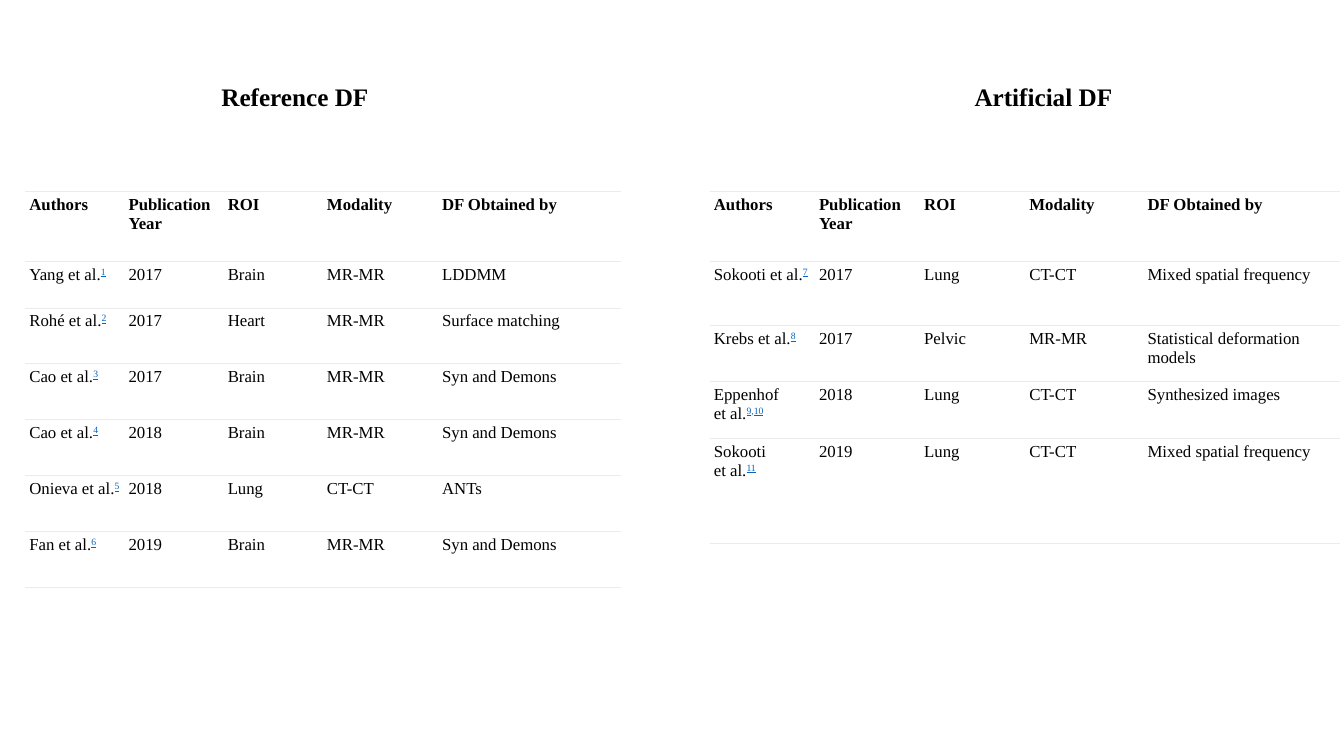
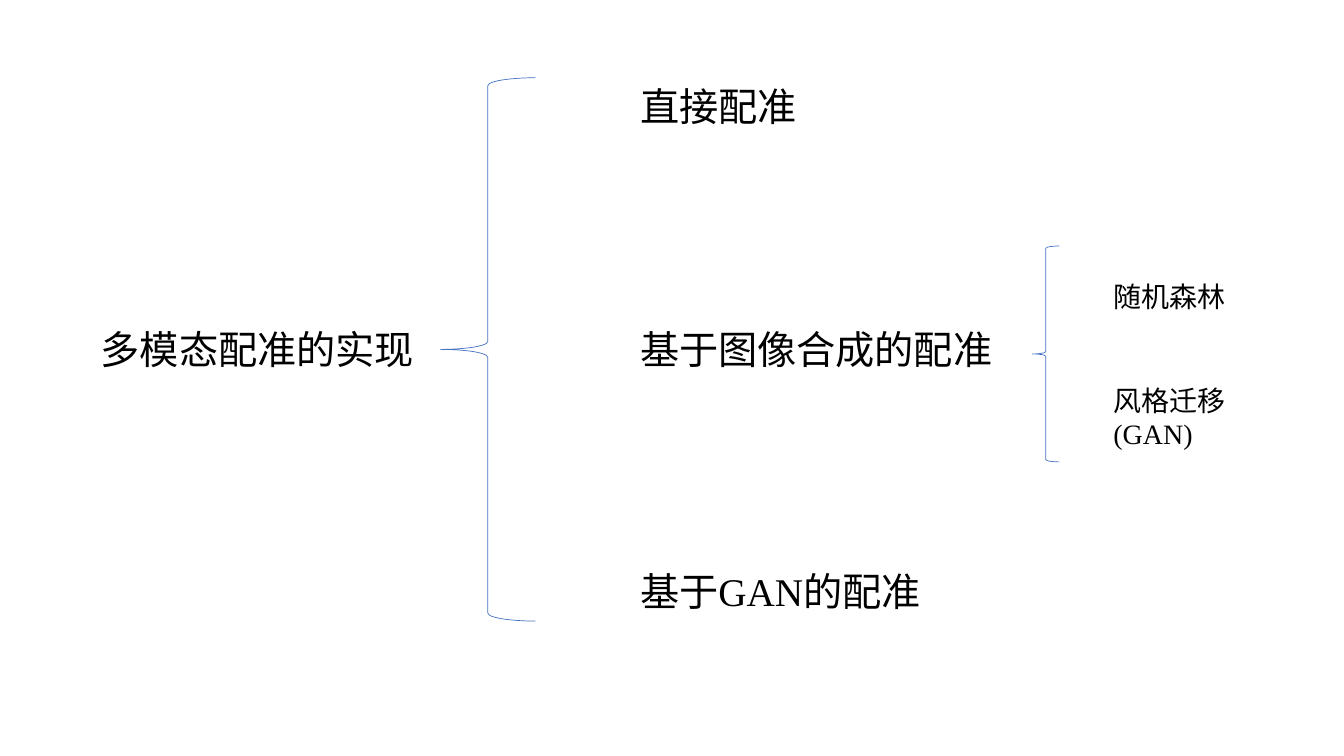
"""Build two slides: deformation field tables and a registration tree."""
from lxml.etree import SubElement
from pptx import Presentation
from pptx.dml.color import RGBColor
from pptx.enum.shapes import MSO_SHAPE
from pptx.oxml.ns import qn
from pptx.util import Cm, Pt

HUES = {"ink": "000000", "link": "0563C1", "comma": "0C7DBB",
        "rule": "EBEBEB", "brace": "4472C4"}
SERIF, SANS = "Times New Roman", "Noto Sans CJK SC"
HEADS = ["Authors", "Publication Year", "ROI", "Modality", "", "DF Obtained by"]


def style(para, size, bold=False):
    font = para.font
    font.size, font.bold, font.name = Pt(size), bold, SERIF
    font.color.rgb = RGBColor.from_string(HUES["ink"])
    props = para._p.pPr.find(qn("a:defRPr"))
    SubElement(props, qn("a:ea")).set("typeface", SANS)


def label(slide, text, left, top, width, size, bold=False):
    box = slide.shapes.add_textbox(Cm(left), Cm(top), Cm(width), Cm(size * 0.05))
    box.text_frame.word_wrap = True
    para = box.text_frame.paragraphs[0]
    para.text = text
    style(para, size, bold)


deck = Presentation()
deck.slide_width, deck.slide_height = Cm(33.87), Cm(19.05)
blank = deck.slide_layouts[6]

panels = [
    {"title": "Reference DF", "title_left": 5.33, "left": 0.64,
     "cols": [2.5, 2.5, 2.5, 2.6, 0.3, 4.6],
     "rows": [1.76, 1.17] + [1.41] * 5,
     "data": [
         ("Yang", "1", "2017", "Brain", "MR-MR", "LDDMM"),
         ("Rohé", "2", "2017", "Heart", "MR-MR", "Surface matching"),
         ("Cao", "3", "2017", "Brain", "MR-MR", "Syn and Demons"),
         ("Cao", "4", "2018", "Brain", "MR-MR", "Syn and Demons"),
         ("Onieva", "5", "2018", "Lung", "CT-CT", "ANTs"),
         ("Fan", "6", "2019", "Brain", "MR-MR", "Syn and Demons")]},
    {"title": "Artificial DF", "title_left": 24.31, "left": 17.89,
     "cols": [2.65, 2.65, 2.65, 2.65, 0.33, 4.95],
     "rows": [1.76, 1.62, 1.41, 1.43, 2.64],
     "data": [
         ("Sokooti", "7", "2017", "Lung", "CT-CT", "Mixed spatial frequency"),
         ("Krebs", "8", "2017", "Pelvic", "MR-MR", "Statistical deformation models"),
         ("Eppenhof", "9,10", "2018", "Lung", "CT-CT", "Synthesized images"),
         ("Sokooti", "11", "2019", "Lung", "CT-CT", "Mixed spatial frequency")]},
]

slide = deck.slides.add_slide(blank)
for panel in panels:
    cols, rows = panel["cols"], panel["rows"]
    frame = slide.shapes.add_table(len(rows), len(cols), Cm(panel["left"]), Cm(4.83),
                                   Cm(sum(cols)), Cm(sum(rows)))
    table = frame.table
    table.first_row = table.horz_banding = False
    for col, width in zip(table.columns, cols):
        col.width = Cm(width)
    for row, height in zip(table.rows, rows):
        row.height = Cm(height)

    lines = [HEADS]
    for name, cite, year, roi, mode, means in panel["data"]:
        lines.append([f"{name} et{chr(160)}al.", year, roi, mode, "", means])
    for y, line in enumerate(lines):
        for x, text in enumerate(line):
            cell = table.cell(y, x)
            cell.margin_left = cell.margin_right = Cm(0.1)
            cell.margin_top = cell.margin_bottom = Cm(0.1)
            props = cell._tc.get_or_add_tcPr()
            for side in ("lnL", "lnR", "lnT", "lnB"):
                edge = SubElement(props, qn(f"a:{side}"))
                if side in ("lnL", "lnR"):
                    SubElement(edge, qn("a:noFill"))
                else:
                    edge.set("w", str(Pt(0.75)))
                    fill = SubElement(edge, qn("a:solidFill"))
                    SubElement(fill, qn("a:srgbClr")).set("val", HUES["rule"])
            cell.fill.background()
            para = cell.text_frame.paragraphs[0]
            if text:
                para.text = text
            style(para, 12, y == 0)

    for y, entry in enumerate(panel["data"], 1):
        para = table.cell(y, 0).text_frame.paragraphs[0]
        for part in entry[1].replace(",", " , ").split():
            run = para.add_run()
            run.text = part
            run.font.underline = part != ","
            hue = HUES["comma" if part == "," else "link"]
            run.font.color.rgb = RGBColor.from_string(hue)
            run._r.get_or_add_rPr().set("baseline", "30000")
for panel in panels:
    label(slide, panel["title"], panel["title_left"], 1.93, 4.6, 18, True)

slide = deck.slides.add_slide(blank)
for text, left, top, width, size in [
        ("多模态配准的实现", 2.29, 8.08, 8.64, 28),
        ("直接配准", 15.88, 1.96, 4.8, 28),
        ("基于图像合成的配准", 15.88, 8.08, 9.8, 28),
        ("基于GAN的配准", 15.88, 14.18, 7.67, 28),
        ("随机森林", 27.81, 6.93, 3.6, 20),
        ("风格迁移(GAN)", 27.81, 9.53, 5.2, 20)]:
    label(slide, text, left, top, width, size)
for left, top, width, height in [(11.1, 1.96, 2.39, 13.69), (26.01, 6.2, 0.69, 5.44)]:
    brace = slide.shapes.add_shape(MSO_SHAPE.LEFT_BRACE, Cm(left), Cm(top),
                                   Cm(width), Cm(height))
    brace.shadow.inherit = False
    brace.fill.background()
    brace.line.color.rgb = RGBColor.from_string(HUES["brace"])
    brace.line.width = Pt(0.5)

deck.save("out.pptx")
